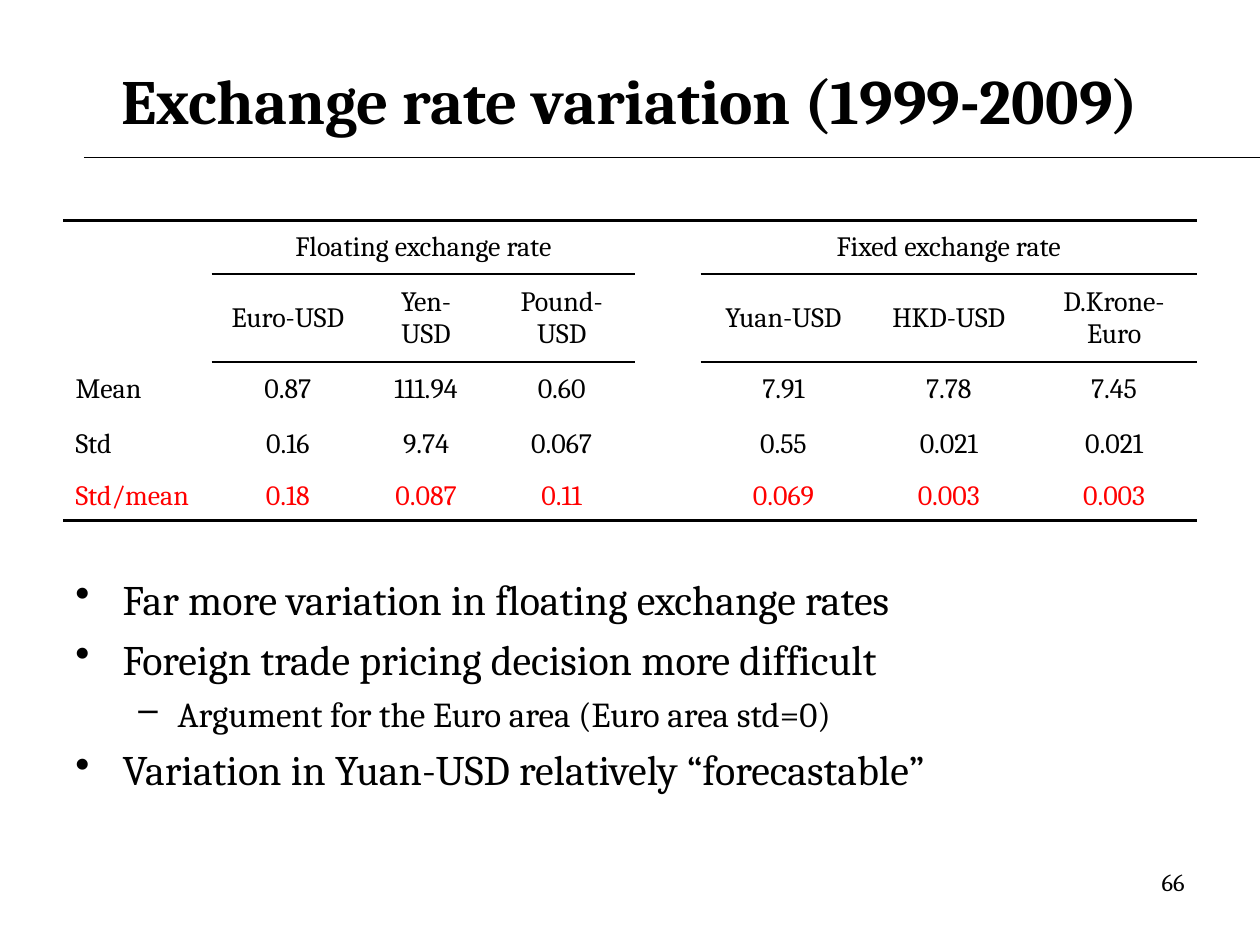
"""Build the slide on exchange rate variation, with a table and a bullet list."""
from typing import NamedTuple

from lxml.etree import SubElement
from pptx import Presentation
from pptx.dml.color import RGBColor
from pptx.enum.shapes import MSO_CONNECTOR as Connector
from pptx.enum.text import MSO_ANCHOR as Anchor, MSO_AUTO_SIZE as AutoSize, PP_ALIGN as Align
from pptx.oxml.ns import qn
from pptx.util import Pt

FONT = "Cambria"
COLORS = {"ink": "000000", "accent": "FF0000"}
NO_STYLE = "{2D5ABB26-0587-4C30-8999-92F81FD0307C}"
THICK, THIN = 1.5, 1


class Frame(NamedTuple):
    left: float
    top: float
    width: float
    height: float

    def lengths(self) -> list:
        return [Pt(value) for value in self]


class Bullet(NamedTuple):
    text: str
    level: int = 0


class BulletStyle(NamedTuple):
    mark: str
    margin: float
    hanging: float
    size: float
    space: float


BULLET_STYLES = [BulletStyle("•", 27, 27, 24, 5.6), BulletStyle("–", 58.5, 22.5, 20, 4.7)]
BULLETS = [
    Bullet("Far more variation in floating exchange rates"),
    Bullet("Foreign trade pricing decision more difficult"),
    Bullet("Argument for the Euro area (Euro area std=0)", 1),
    Bullet("Variation in Yuan-USD relatively “forecastable”"),
]
COLUMN_WIDTHS = [85, 87, 71, 84, 37.5, 94.5, 94.5, 94.5]
ROW_HEIGHTS = [30.5, 50.5, 31.5, 31.5, 27.5]
GROUP_STARTS = (1, 5)
GROUP_SIZE = 3
GROUP_COLUMNS = [start + step for start in GROUP_STARTS for step in range(GROUP_SIZE)]
ROWS = [
    ["", "Floating exchange rate", "", "", "", "Fixed exchange rate", "", ""],
    ["", "Euro-USD", "Yen-USD", "Pound- USD", "", "Yuan-USD", "HKD-USD", "D.Krone-Euro"],
    ["Mean", "0.87", "111.94", "0.60", "", "7.91", "7.78", "7.45"],
    ["Std", "0.16", "9.74", "0.067", "", "0.55", "0.021", "0.021"],
    ["Std/mean", "0.18", "0.087", "0.11", "", "0.069", "0.003", "0.003"],
]


def add_span(para, text: str, size: float, color: str = "ink", bold: bool = False) -> None:
    span = para.add_run()
    span.text = text
    span.font.name, span.font.size, span.font.bold = FONT, Pt(size), bold
    span.font.color.rgb = RGBColor.from_string(COLORS[color])


def add_box(page, frame: Frame):
    body = page.shapes.add_textbox(*frame.lengths()).text_frame
    body.word_wrap = True
    return body


def add_title(page, frame: Frame, text: str) -> None:
    title = page.shapes.title
    title.left, title.top, title.width, title.height = frame.lengths()
    body = title.text_frame
    body.auto_size, body.vertical_anchor = AutoSize.NONE, Anchor.MIDDLE
    para = body.paragraphs[0]
    para.alignment = Align.CENTER
    add_span(para, text, 36, bold=True)


def add_rule(page, left: float, right: float, top: float) -> None:
    rule = page.shapes.add_connector(Connector.STRAIGHT, Pt(left), Pt(top), Pt(right), Pt(top))
    rule.line.width = Pt(0.75)
    rule.line.color.rgb = RGBColor.from_string(COLORS["ink"])
    SubElement(rule._element.spPr, qn("a:effectLst"))


def edge_width(edge: int, column: int) -> float:
    """Return the width of the rule on a horizontal grid edge, 0 for none."""
    if edge in (0, len(ROWS)):
        return THICK
    return THIN if edge in (1, 2) and column in GROUP_COLUMNS else 0


def set_borders(cell, top: float, bottom: float) -> None:
    properties = cell._tc.get_or_add_tcPr()
    for side, width in (("L", 0), ("R", 0), ("T", top), ("B", bottom)):
        line = SubElement(properties, qn(f"a:ln{side}"), w=str(Pt(width)))
        if width:
            fill = SubElement(line, qn("a:solidFill"))
            SubElement(fill, qn("a:srgbClr"), val=COLORS["ink"])
        else:
            SubElement(line, qn("a:noFill"))


def add_rate_table(page, frame: Frame) -> None:
    graphic = page.shapes.add_table(len(ROWS), len(COLUMN_WIDTHS), *frame.lengths())
    table = graphic.table
    table.first_row = table.horz_banding = False
    table._tbl.tblPr.find(qn("a:tableStyleId")).text = NO_STYLE
    for column, width in zip(table.columns, COLUMN_WIDTHS):
        column.width = Pt(width)
    for row, height in zip(table.rows, ROW_HEIGHTS):
        row.height = Pt(height)
    for start in GROUP_STARTS:
        table.cell(0, start).merge(table.cell(0, start + GROUP_SIZE - 1))
    for i, texts in enumerate(ROWS):
        color = "accent" if i == len(ROWS) - 1 else "ink"
        for j, text in enumerate(texts):
            cell = table.cell(i, j)
            set_borders(cell, edge_width(i, j), edge_width(i + 1, j))
            cell.fill.background()
            cell.vertical_anchor = Anchor.MIDDLE
            cell.margin_top = cell.margin_bottom = Pt(2)
            para = cell.text_frame.paragraphs[0]
            para.alignment = Align.CENTER if j else Align.LEFT
            para.font.size = Pt(16)
            if text:
                add_span(para, text, 16, color)


def add_bullets(page, frame: Frame, bullets: list[Bullet]) -> None:
    body = add_box(page, frame)
    for i, bullet in enumerate(bullets):
        style = BULLET_STYLES[bullet.level]
        para = body.add_paragraph() if i else body.paragraphs[0]
        para.level = bullet.level
        if i:
            para.space_before = Pt(style.space)
        properties = para._p.get_or_add_pPr()
        properties.set("marL", str(Pt(style.margin)))
        properties.set("indent", str(-Pt(style.hanging)))
        SubElement(properties, qn("a:buChar"), char=style.mark)
        add_span(para, bullet.text, style.size)


def add_page_number(page, frame: Frame, number: str) -> None:
    para = add_box(page, frame).paragraphs[0]
    para.alignment = Align.RIGHT
    add_span(para, number, 14)


def main() -> None:
    deck = Presentation()
    deck.slide_width, deck.slide_height = Pt(720), Pt(540)
    page = deck.slides.add_slide(deck.slide_layouts.get_by_name("Title Only"))
    add_rule(page, 48, 720, 90)
    add_title(page, Frame(36, 24, 648, 66), "Exchange rate variation (1999-2009)")
    add_rate_table(page, Frame(36, 126, sum(COLUMN_WIDTHS), sum(ROW_HEIGHTS)))
    add_bullets(page, Frame(36, 324, 648, 158.4), BULLETS)
    add_page_number(page, Frame(516, 492, 168, 37.5), "66")
    deck.save("out.pptx")


if __name__ == "__main__":
    main()
